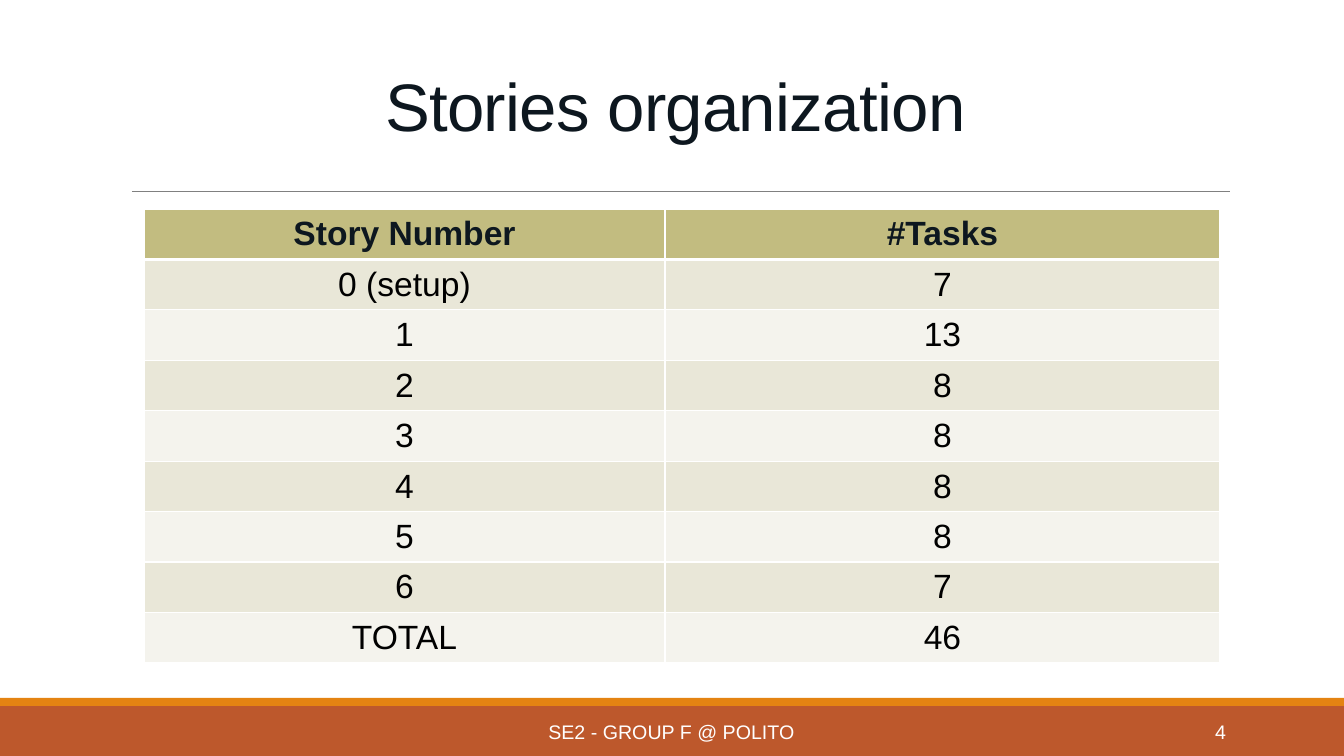
import pptx
import pptx.dml.color
import pptx.enum.shapes
import pptx.enum.text
import pptx.oxml.ns
import pptx.util
from lxml import etree

RGBColor = pptx.dml.color.RGBColor
PP_ALIGN = pptx.enum.text.PP_ALIGN
MIDDLE = pptx.enum.text.MSO_ANCHOR.MIDDLE

WIDTH, HEIGHT = 1344, 756
EMU_PER_PX = 914400 / 100.8
FONT = "Arial"

DARK = RGBColor(0x0D, 0x17, 0x1F)
BLACK = RGBColor(0, 0, 0)
WHITE = RGBColor(0xFF, 0xFF, 0xFF)
GRAY = RGBColor(0x80, 0x80, 0x80)
RUST = RGBColor(0xBD, 0x58, 0x2C)
ORANGE = RGBColor(0xE4, 0x83, 0x12)
HEADER_FILL = RGBColor(0xC2, 0xBC, 0x80)
BAND_FILLS = (RGBColor(0xE9, 0xE7, 0xD8), RGBColor(0xF4, 0xF3, 0xED))

STORY_TASKS = [
    ("Story Number", "#Tasks"),
    ("0 (setup)", "7"),
    ("1", "13"),
    ("2", "8"),
    ("3", "8"),
    ("4", "8"),
    ("5", "8"),
    ("6", "7"),
    ("TOTAL", "46"),
]


def px(length):
    return pptx.util.Emu(round(length * EMU_PER_PX))


def box_px(*lengths):
    return [px(length) for length in lengths]


def write(text_frame, text, size, color, alignment, bold=False):
    paragraph = text_frame.paragraphs[0]
    paragraph.alignment = alignment
    run = paragraph.add_run()
    run.text = text
    run.font.name = FONT
    run.font.size = pptx.util.Pt(size)
    run.font.bold = bold
    run.font.color.rgb = color
    return paragraph, run


def add_bar(slide, left, top, width, height, color):
    bar = slide.shapes.add_shape(
        pptx.enum.shapes.MSO_SHAPE.RECTANGLE, *box_px(left, top, width, height))
    bar.shadow.inherit = False
    bar.fill.solid()
    bar.fill.fore_color.rgb = color
    bar.line.fill.background()


def add_footer_text(slide, left, top, width, height, text, alignment):
    text_box = slide.shapes.add_textbox(*box_px(left, top, width, height))
    text_frame = text_box.text_frame
    text_frame.word_wrap = True
    text_frame.vertical_anchor = MIDDLE
    write(text_frame, text, 14, WHITE, alignment)


def add_footer(slide, left, top, width, height):
    stripe = 8
    add_bar(slide, left, top + stripe, width, height - stripe, RUST)
    add_bar(slide, left, top, width, stripe, ORANGE)
    text_top = top + 14
    add_footer_text(slide, left + 406, text_top, 531, 40,
                    "SE2 - GROUP F @ POLITO", PP_ALIGN.CENTER)
    add_footer_text(slide, left + 1092, text_top, 144, 40, "4", PP_ALIGN.RIGHT)


def add_title(slide, left, top, width, height):
    title = slide.shapes.title
    title.left, title.top, title.width, title.height = box_px(left, top, width, height)
    text_frame = title.text_frame
    text_frame.word_wrap = True
    text_frame.auto_size = pptx.enum.text.MSO_AUTO_SIZE.NONE
    text_frame.vertical_anchor = MIDDLE
    paragraph, run = write(text_frame, "Stories organization", 48, DARK, PP_ALIGN.CENTER)
    paragraph.line_spacing = 0.85
    run.font._element.set("spc", "-50")

    # Rule under the title
    rule_left, rule_right, rule_top = left + 11, left + width, top + height
    rule = slide.shapes.add_connector(
        pptx.enum.shapes.MSO_CONNECTOR.STRAIGHT,
        *box_px(rule_left, rule_top, rule_right, rule_top))
    rule.line.color.rgb = GRAY
    rule.line.width = pptx.util.Pt(0.5)
    etree.SubElement(rule._element.spPr, pptx.oxml.ns.qn("a:effectLst"))


def set_borders(cell, widths):
    properties = cell._tc.get_or_add_tcPr()
    for side, width in widths.items():
        border = etree.SubElement(properties, pptx.oxml.ns.qn(f"a:ln{side}"),
                                  w=str(pptx.util.Pt(width)))
        fill = etree.SubElement(border, pptx.oxml.ns.qn("a:solidFill"))
        etree.SubElement(fill, pptx.oxml.ns.qn("a:srgbClr"), val=str(WHITE))


def add_story_table(slide, left, top, column_widths, row_height):
    frame = slide.shapes.add_table(
        len(STORY_TASKS), len(column_widths),
        *box_px(left, top, sum(column_widths), row_height * len(STORY_TASKS)))
    table = frame.table
    for column, width in zip(table.columns, column_widths):
        column.width = px(width)
    for row_index, values in enumerate(STORY_TASKS):
        is_header = row_index == 0
        fill = HEADER_FILL if is_header else BAND_FILLS[(row_index - 1) % 2]
        # Thick line between the header and the first story
        borders = {"L": 1, "R": 1, "T": 3 if row_index == 1 else 1,
                   "B": 3 if is_header else 1}
        for column_index, value in enumerate(values):
            cell = table.cell(row_index, column_index)
            set_borders(cell, borders)
            cell.fill.solid()
            cell.fill.fore_color.rgb = fill
            cell.vertical_anchor = MIDDLE
            write(cell.text_frame, value, 24, DARK if is_header else BLACK,
                  PP_ALIGN.CENTER, bold=is_header)


def main():
    presentation = pptx.Presentation()
    presentation.slide_width, presentation.slide_height = box_px(WIDTH, HEIGHT)
    title_only = presentation.slide_layouts[5]
    slide = presentation.slides.add_slide(title_only)
    add_footer(slide, 0, 698, WIDTH, HEIGHT - 698)
    add_title(slide, 121, 31, 1109, 160)
    add_story_table(slide, 144, 209, (521, 555), 48)
    presentation.save("out.pptx")


if __name__ == "__main__":
    main()
